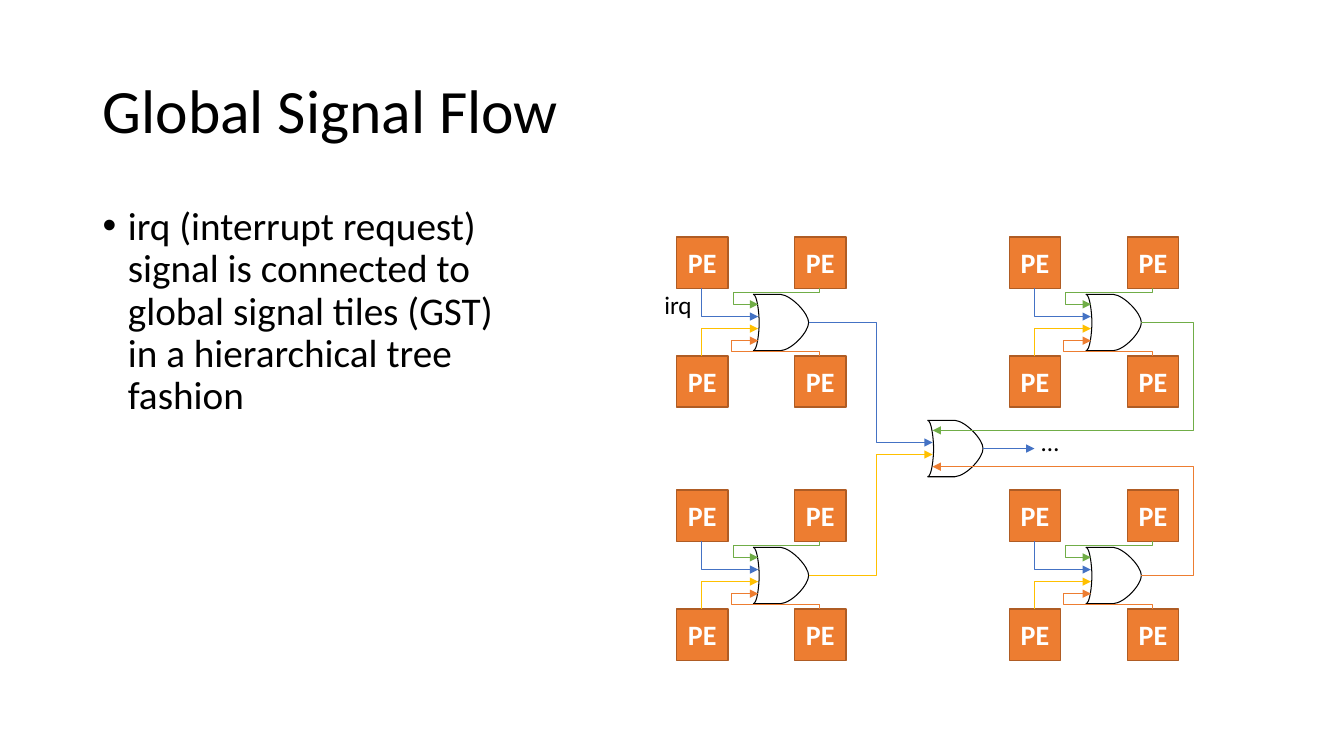
"""Build the Global Signal Flow slide with its tree of OR gates."""
from pptx import Presentation
from pptx.dml.color import RGBColor
from pptx.enum.shapes import MSO_CONNECTOR, MSO_SHAPE
from pptx.enum.text import MSO_ANCHOR, PP_ALIGN
from pptx.oxml.ns import qn
from pptx.util import Inches, Pt
from lxml import etree

STRAIGHT, ELBOW = MSO_CONNECTOR.STRAIGHT, MSO_CONNECTOR.ELBOW
RECTANGLE = MSO_SHAPE.RECTANGLE
TOP, MIDDLE = MSO_ANCHOR.TOP, MSO_ANCHOR.MIDDLE
LEFT, CENTER = PP_ALIGN.LEFT, PP_ALIGN.CENTER

THEME = {
    "font": "Calibri", "ink": "000000", "paper": "FFFFFF",
    "pe": "ED7D31", "pe_edge": "AF5C24", "output": "4472C4",
    "title": 44, "body": 28, "pe_size": 20, "label": 18,
    "pe_line": 1, "gate_line": 0.75, "wire_line": 0.5,
}

TITLE = "Global Signal Flow"
BODY = ("irq (interrupt request) signal is connected to global signal tiles "
        "(GST) in a hierarchical tree fashion")
LABELS = [("irq", (6.49, 2.82, 0.48, 0.4)), ("…", (10.23, 4.18, 0.38, 0.4))]

INPUTS = [
    {"corner": (1, 0), "colour": "70AD47", "detour": (0.56, 0.55), "lane": 11.84},
    {"corner": (0, 0), "colour": "4472C4", "detour": None, "lane": 8.69},
    {"corner": (0, 1), "colour": "FFC000", "detour": None, "lane": 8.69},
    {"corner": (1, 1), "colour": "ED7D31", "detour": (0.54, 1.14), "lane": 11.84},
]

CLUSTER_START, CLUSTER_PITCH = (6.71, 2.35), (3.3, 2.51)
PE_SIDE, PE_PITCH = 0.51, (1.17, 1.18)
GATE_OFFSET, ROOT_GATE = (0.76, 0.57), (9.2, 4.17)
PIN_START, PIN_PITCH = (0.05, 0.1), 0.12
GATE_OUTPUT, OUTPUT_LENGTH = (0.55, 0.28), 0.51
GATE_BODY = [
    [(0, 0)],
    [(0.27, 0)],
    [(0.38, 0.01), (0.55, 0.19), (0.55, 0.28)],
    [(0.55, 0.37), (0.39, 0.55), (0.27, 0.56)],
    [(0, 0.56)],
]
GATE_BACK = [
    [(0, 0.56)],
    [(0.04, 0.56), (0.06, 0.38), (0.06, 0.28)],
    [(0.06, 0.19), (0.04, 0), (0, 0)],
]


def colour(name):
    return RGBColor.from_string(THEME.get(name, name))


def shift(point, offset):
    return point[0] + offset[0], point[1] + offset[1]


def grid_point(start, pitch, corner):
    return tuple(s + p * c for s, p, c in zip(start, pitch, corner))


def pin(gate, index):
    return shift(gate, (PIN_START[0], PIN_START[1] + PIN_PITCH * index))


def write(box, text, size, ink="ink", bold=False, align=LEFT, anchor=TOP,
          wrap=True, spacing=1.0, bullet=False, margin=None):
    frame = box.text_frame
    frame.word_wrap = wrap
    frame.vertical_anchor = anchor
    if margin is not None:
        frame.margin_left = frame.margin_right = Inches(margin)
    para = frame.paragraphs[0]
    para.alignment = align
    para.line_spacing = spacing
    if bullet:
        properties = para._p.get_or_add_pPr()
        properties.set("marL", str(Inches(0.25)))
        properties.set("indent", str(-Inches(0.25)))
        etree.SubElement(properties, qn("a:buFont"), typeface="Arial")
        etree.SubElement(properties, qn("a:buChar"), char="•")
    span = para.add_run()
    span.text = text
    span.font.name = THEME["font"]
    span.font.size = Pt(THEME[size])
    span.font.bold = bold
    span.font.color.rgb = colour(ink)


def add_text(page, text, place, **style):
    write(page.shapes.add_textbox(*map(Inches, place)), text, **style)


def paint(shape, fill, edge, width):
    shape.shadow.inherit = False
    shape.fill.solid()
    shape.fill.fore_color.rgb = colour(fill)
    shape.line.color.rgb = colour(edge)
    shape.line.width = Pt(THEME[width])


def add_pe(page, corner):
    box = page.shapes.add_shape(
        RECTANGLE, *map(Inches, (*corner, PE_SIDE, PE_SIDE)))
    paint(box, "pe", "pe_edge", "pe_line")
    write(box, "PE", size="pe_size", ink="paper", bold=True, align=CENTER,
          anchor=MIDDLE, margin=0)


def add_outline(page, corner, segments):
    points = [tuple(map(Inches, shift(corner, point)))
              for segment in segments for point in segment]
    builder = page.shapes.build_freeform(*points[0])
    builder.add_line_segments(points[1:], close=False)
    shape = builder.convert_to_shape()
    lines = iter(list(shape.element.spPr.iter(qn("a:lnTo"))))
    for segment in segments[1:]:
        steps = [next(lines) for _ in segment]
        if len(steps) == 3:
            curve = etree.Element(qn("a:cubicBezTo"))
            steps[0].addprevious(curve)
            for step in steps:
                curve.append(step[0])
                step.getparent().remove(step)
    paint(shape, "paper", "ink", "gate_line")


def add_gate(page, corner):
    for segments in (GATE_BODY, GATE_BACK):
        add_outline(page, corner, segments)


def finish_wire(wire, ink):
    wire.line.color.rgb = colour(ink)
    wire.line.width = Pt(THEME["wire_line"])
    etree.SubElement(wire.line._get_or_add_ln(), qn("a:tailEnd"), type="triangle")
    etree.SubElement(wire.element.spPr, qn("a:effectLst"))


def set_bends(wire, preset, bends):
    geometry = wire.element.spPr.find(qn("a:prstGeom"))
    geometry.set("prst", preset)
    values = geometry.find(qn("a:avLst"))
    if values is None:
        values = etree.SubElement(geometry, qn("a:avLst"))
    for number, bend in enumerate(bends, 1):
        etree.SubElement(values, qn("a:gd"), name=f"adj{number}",
                         fmla=f"val {round(bend * 100000)}")


def add_lane_wire(page, start, end, lane, ink):
    wire = page.shapes.add_connector(ELBOW, *map(Inches, (*start, *end)))
    set_bends(wire, "bentConnector3", [(lane - start[0]) / (end[0] - start[0])])
    finish_wire(wire, ink)


def add_pe_wire(page, start, end, detour, ink):
    across, down = end[0] - start[0], end[1] - start[1]
    width, height = abs(down), abs(across)
    left = (start[0] + end[0] - width) / 2
    top = (start[1] + end[1] - height) / 2
    wire = page.shapes.add_connector(
        ELBOW, *map(Inches, (left, top, left + width, top + height)))
    frame = wire.element.spPr.find(qn("a:xfrm"))
    frame.set("rot", str((90 if down > 0 else 270) * 60000))
    frame.set("flipV", str(int(across * down > 0)))
    if detour:
        set_bends(wire, "bentConnector4", [(detour[1] - start[1]) / down,
                                           (detour[0] - start[0]) / across])
    else:
        set_bends(wire, "bentConnector2", [])
    finish_wire(wire, ink)


def add_cluster(page, origin):
    gate = shift(origin, GATE_OFFSET)
    for source in INPUTS:
        add_pe(page, grid_point(origin, PE_PITCH, source["corner"]))
    add_gate(page, gate)
    for index, source in enumerate(INPUTS):
        pe = grid_point(origin, PE_PITCH, source["corner"])
        start = shift(pe, (0.25, 0 if source["corner"][1] else PE_SIDE))
        detour = source["detour"] and shift(origin, source["detour"])
        add_pe_wire(page, start, pin(gate, index), detour, source["colour"])


def main():
    deck = Presentation()
    deck.slide_width, deck.slide_height = Inches(13.33), Inches(7.5)
    page = deck.slides.add_slide(deck.slide_layouts[6])
    add_text(page, TITLE, (0.92, 0.4, 11.5, 1.45), size="title",
             anchor=MIDDLE, spacing=0.9)
    add_text(page, BODY, (0.92, 2, 4.43, 4.76), size="body",
             spacing=0.9, bullet=True)
    origins = [grid_point(CLUSTER_START, CLUSTER_PITCH, source["corner"])
               for source in INPUTS]
    for origin in origins:
        add_cluster(page, origin)
    add_gate(page, ROOT_GATE)
    for index, (origin, source) in enumerate(zip(origins, INPUTS)):
        start = shift(shift(origin, GATE_OFFSET), GATE_OUTPUT)
        add_lane_wire(page, start, pin(ROOT_GATE, index), source["lane"],
                      source["colour"])
    start = shift(ROOT_GATE, GATE_OUTPUT)
    end = shift(start, (OUTPUT_LENGTH, 0))
    output = page.shapes.add_connector(STRAIGHT, *map(Inches, (*start, *end)))
    finish_wire(output, "output")
    for text, place in LABELS:
        add_text(page, text, place, size="label", wrap=False)
    deck.save("out.pptx")


if __name__ == "__main__":
    main()
